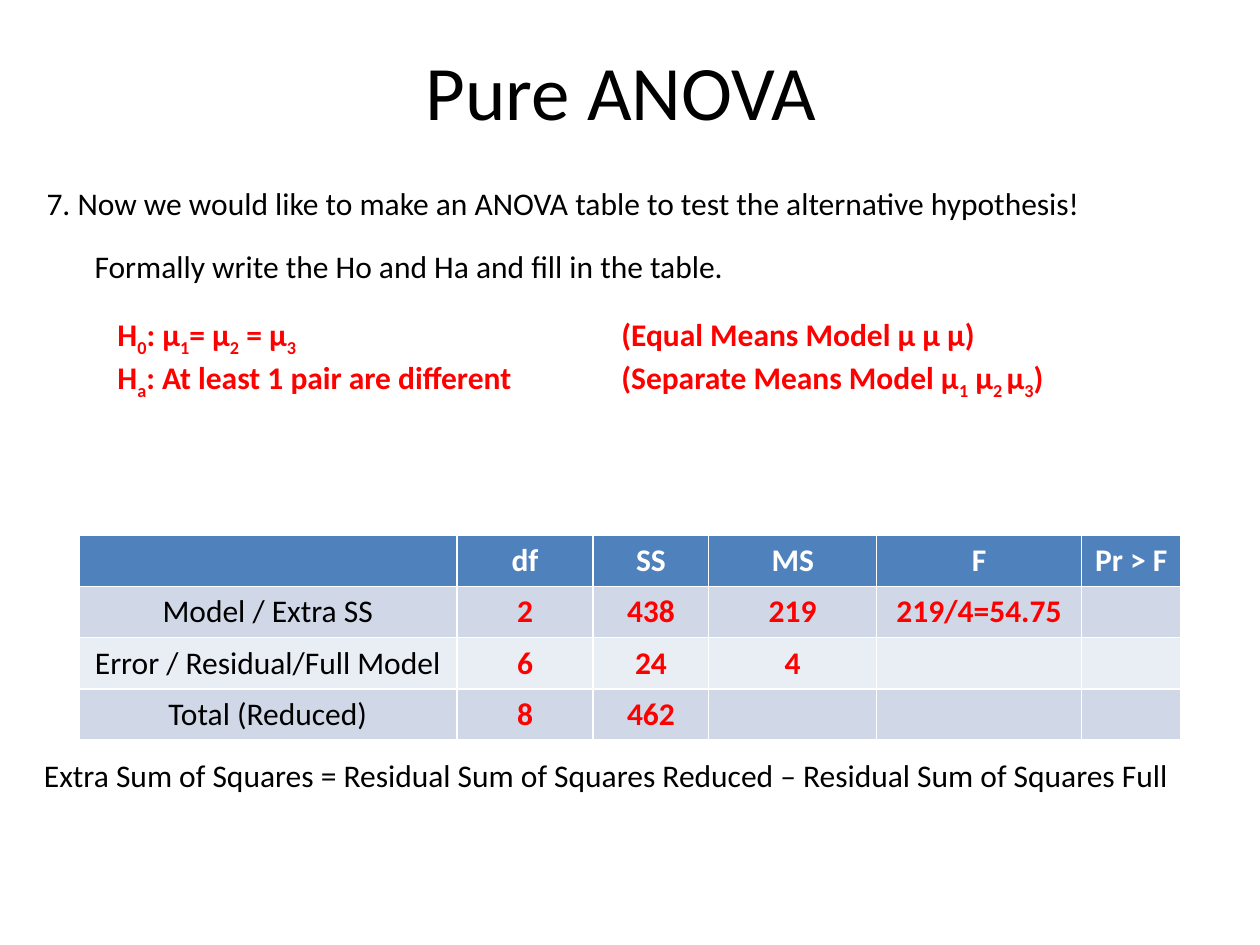
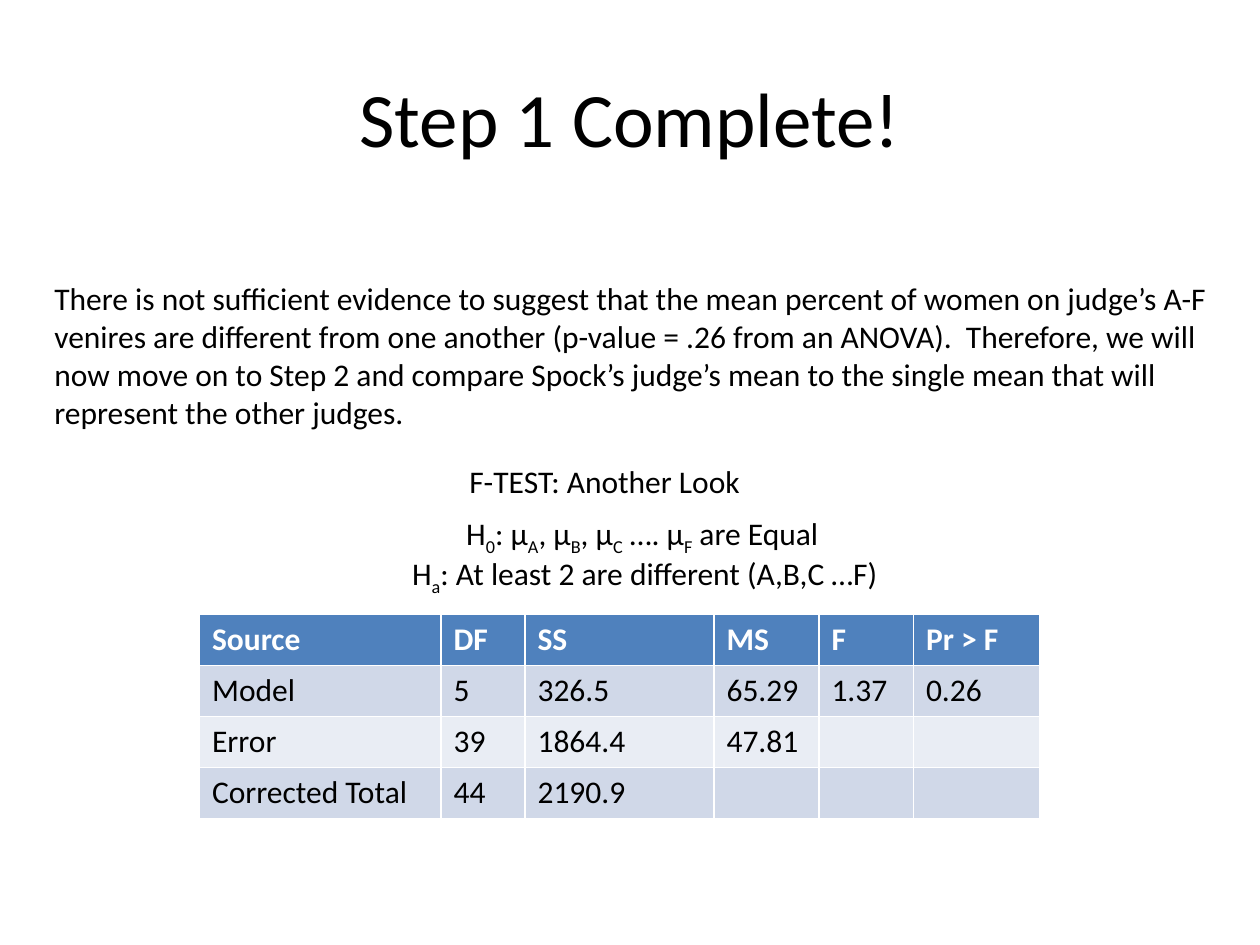
from lxml.etree import SubElement
from pptx import Presentation
from pptx.dml.color import RGBColor
from pptx.enum.text import MSO_ANCHOR, MSO_AUTO_SIZE, PP_ALIGN
from pptx.oxml.ns import qn
from pptx.util import Pt

COLORS = {
    "text": "000000",
    "answer": "FF0000",
    "header": "4F81BD",
    "header_text": "FFFFFF",
    "odd_row": "D0D8E8",
    "even_row": "E9EDF4",
}
FONT = "Calibri"
ROW_HEIGHT = 29.2
LEFT, CENTER = PP_ALIGN.LEFT, PP_ALIGN.CENTER


def write(frame, text, size=18, color="text", bold=False, align=LEFT, tab_stop=None):
    """Fill a text frame: one paragraph per line, with subscripts between tildes."""
    for index, line in enumerate(text.split("\n")):
        para = frame.add_paragraph() if index else frame.paragraphs[0]
        para.alignment = align
        if tab_stop is not None:
            tabs = SubElement(para._p.get_or_add_pPr(), qn("a:tabLst"))
            SubElement(tabs, qn("a:tab"), pos=str(Pt(tab_stop)), algn="l")
        for number, piece in enumerate(line.split("~")):
            if not piece:
                continue
            span = para.add_run()
            span.text = piece
            span.font.name = FONT
            span.font.size = Pt(size)
            span.font.bold = bold
            span.font.color.rgb = RGBColor.from_string(COLORS[color])
            if number % 2:
                span._r.get_or_add_rPr().set("baseline", "-25000")


# Each text: left, top, width, height, wording, format
pages = [
    {
        "title": "Pure ANOVA ",
        "title_top": 6,
        "texts": [
            (19.5, 101.5, 672, 29,
             "7. Now we would like to make an ANOVA table to test the alternative hypothesis!", {}),
            (18, 428.5, 672, 29,
             "Extra Sum of Squares = Residual Sum of Squares Reduced – "
             "Residual Sum of Squares Full", {}),
            (47, 137.5, 540, 29, "Formally write the Ho and Ha and fill in the table.", {}),
            (60, 176.5, 570, 51,
             "H~0~: µ~1~= µ~2~ = µ~3~\t(Equal Means Model µ µ µ)\n"
             "H~a~: At least 1 pair are different\t(Separate Means Model µ~1~ µ~2 ~µ~3~)",
             {"color": "answer", "bold": True, "tab_stop": 288}),
        ],
        "table_at": (45, 306),
        "columns": [216, 78, 66, 96, 117, 57],
        "rows": [
            ["", "df", "SS", "MS", "F", "Pr > F"],
            ["Model / Extra SS", "2", "438", "219", "219/4=54.75", ""],
            ["Error / Residual/Full Model", "6", "24", "4", "", ""],
            ["Total (Reduced)", "8", "462", "", "", ""],
        ],
        "cell_align": CENTER,
        "value_format": {"color": "answer", "bold": True},
    },
    {
        "title": "Step 1 Complete!",
        "title_top": 21.6,
        "texts": [
            (257.5, 260.5, 176, 29, "F-TEST: Another Look", {"align": CENTER}),
            (224.5, 313, 292, 29, "H~a~: At least 2 are different (A,B,C …F) ",
             {"align": CENTER}),
            (180, 290, 374, 29, "H~0~: µ~A~, µ~B~, µ~C~ …. µ~F~ are Equal",
             {"align": CENTER}),
            (24, 156, 678, 94.5,
             "There is not sufficient evidence to suggest that the mean percent of women on "
             "judge’s A-F venires are different from one another (p-value = .26 from an "
             "ANOVA).  Therefore, we will now move on to Step 2 and compare Spock’s judge’s "
             "mean to the single mean that will represent the other judges.", {}),
        ],
        "table_at": (114, 351),
        "columns": [138, 48, 108, 60, 54, 72],
        "rows": [
            ["Source", "DF", "SS", "MS", "F", "Pr > F"],
            ["Model", "5", "326.5", "65.29", "1.37", "0.26"],
            ["Error", "39", "1864.4", "47.81", "", ""],
            ["Corrected Total", "44", "2190.9", "", "", ""],
        ],
        "cell_align": LEFT,
        "value_format": {},
    },
]

deck = Presentation()
deck.slide_width, deck.slide_height = Pt(720), Pt(540)
title_only = deck.slide_layouts[5]

for content in pages:
    page = deck.slides.add_slide(title_only)

    title = page.shapes.title
    title.left, title.top = Pt(36), Pt(content["title_top"])
    title.width, title.height = Pt(648), Pt(90)
    title.text_frame.vertical_anchor = MSO_ANCHOR.MIDDLE
    write(title.text_frame, content["title"], size=44, align=CENTER)

    for left, top, width, height, wording, text_format in content["texts"]:
        box = page.shapes.add_textbox(Pt(left), Pt(top), Pt(width), Pt(height))
        box.text_frame.word_wrap = True
        box.text_frame.auto_size = MSO_AUTO_SIZE.SHAPE_TO_FIT_TEXT
        write(box.text_frame, wording, **text_format)

    rows, columns = content["rows"], content["columns"]
    left, top = content["table_at"]
    table = page.shapes.add_table(
        len(rows), len(columns), Pt(left), Pt(top),
        Pt(sum(columns)), Pt(ROW_HEIGHT * len(rows))).table
    for column, width in zip(table.columns, columns):
        column.width = Pt(width)
    for row_number, values in enumerate(rows):
        table.rows[row_number].height = Pt(ROW_HEIGHT)
        for column_number, value in enumerate(values):
            if row_number == 0:
                fill, cell_format = "header", {"color": "header_text", "bold": True}
            else:
                fill = "odd_row" if row_number % 2 else "even_row"
                cell_format = content["value_format"] if column_number else {}
            cell = table.cell(row_number, column_number)
            cell.fill.solid()
            cell.fill.fore_color.rgb = RGBColor.from_string(COLORS[fill])
            write(cell.text_frame, value, align=content["cell_align"], **cell_format)

deck.save("out.pptx")
